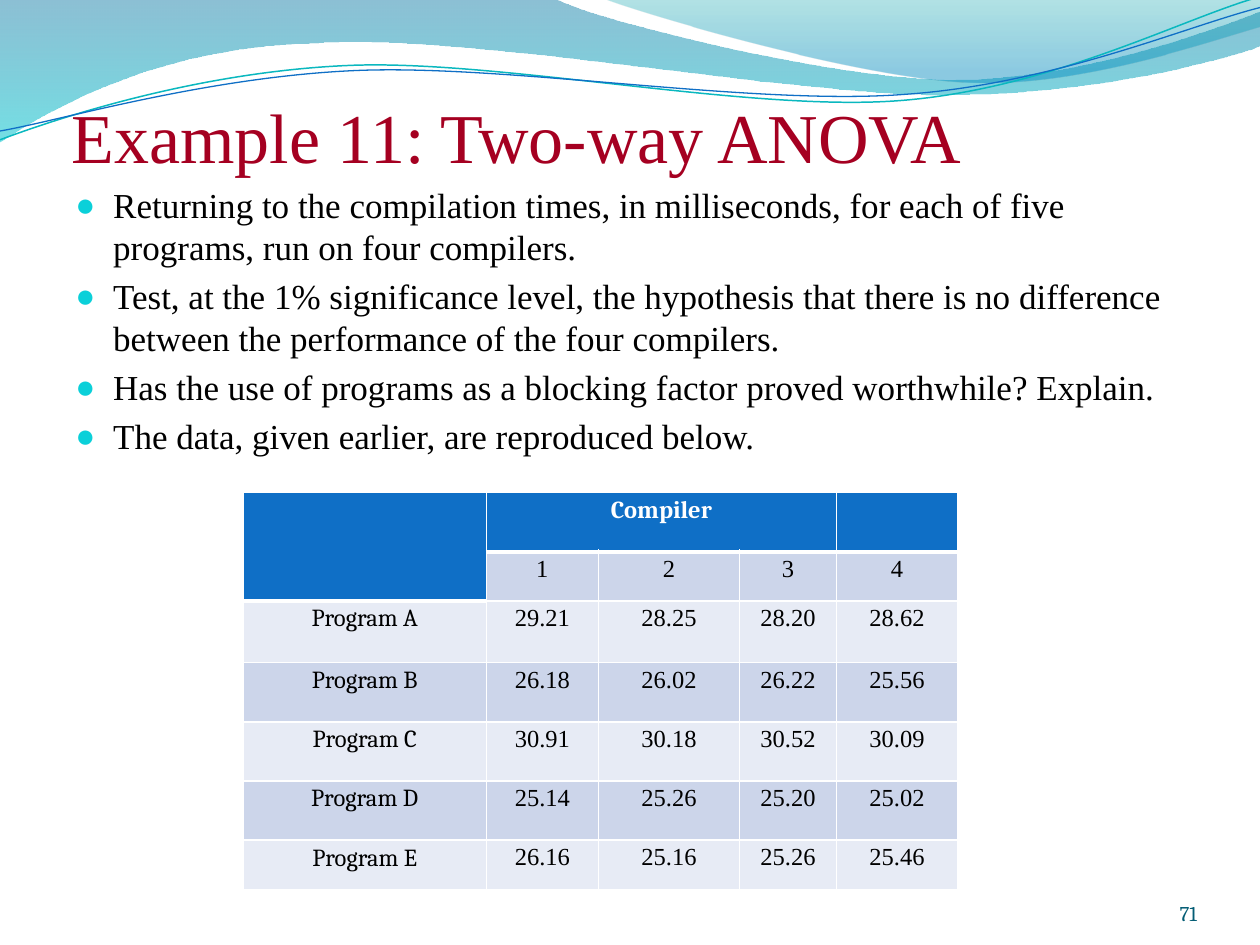
from dataclasses import dataclass

from lxml import etree
from pptx import Presentation
from pptx.dml.color import RGBColor
from pptx.enum.text import MSO_ANCHOR, PP_ALIGN
from pptx.oxml.ns import qn
from pptx.util import Inches, Pt

LEFT, CENTER, RIGHT = PP_ALIGN.LEFT, PP_ALIGN.CENTER, PP_ALIGN.RIGHT
BOTTOM = MSO_ANCHOR.BOTTOM


@dataclass(frozen=True)
class Theme:
    serif: str = "Times New Roman"
    slab: str = "Cambria"
    title: str = "A50021"
    ink: str = "000000"
    white: str = "FFFFFF"
    head: str = "0F6FC6"
    bands: tuple = ("CCD5EA", "E7EBF5")
    bullet: str = "0BD0D9"
    teal: str = "0AB8BF"
    number: str = "045D75"
    title_size: int = 40
    body_size: int = 20
    cell_size: int = 14
    number_size: int = 12


THEME = Theme()

# Each curve is a start point followed by Bezier segments (6 numbers)
# or straight segments (2 numbers), in inches.
WAVES = [
    ([(0, 0), (4.4, -0.01), (4.76, 0.17, 6.64, 0.63, 7.58, 0.63),
      (8.53, 0.63, 9.58, 0.26, 10, 0.09), (10.01, 0.36),
      (9.83, 0.44, 8.7, 0.76, 7.46, 0.75),
      (6.22, 0.75, 3.82, 0.28, 2.57, 0.34),
      (1.29, 0.36, 0.46, 0.83, -0.01, 1.13)],
     [(0, "0074A1", 45), (1, "00C6CF", 55)]),
    ([(4.79, -0.01), (5.09, 0.11, 6.82, 0.62, 7.69, 0.65),
      (8.56, 0.69, 9.61, 0.32, 10, 0.21), (10, 0)],
     [(0, "00A1A9", 30), (0.8, "008BBF", 45)]),
]
STROKES = [
    ([(0, 1.11), (0.48, 0.93, 1.58, 0.57, 2.77, 0.52),
      (3.95, 0.47, 5.93, 0.89, 7.13, 0.8),
      (8.33, 0.71, 9.38, 0.15, 9.98, -0.02)], THEME.teal, 0.85),
    ([(0, 1.04), (0.47, 0.96, 1.64, 0.61, 2.83, 0.56),
      (4.03, 0.51, 5.97, 0.84, 7.17, 0.75),
      (8.36, 0.67, 9.41, 0.21, 10, 0.06)], THEME.head, 0.75),
]
POINTS = [
    "Returning to the compilation times, in milliseconds, for each of five "
    "programs, run on four compilers.",
    "Test, at the 1% significance level, the hypothesis that there is no "
    "difference between the performance of the four compilers.",
    "Has the use of programs as a blocking factor proved worthwhile? Explain.",
    "The data, given earlier, are reproduced below.",
]
ROWS = [
    ["", "Compiler", "", "", ""],
    ["", "1", "2", "3", "4"],
    ["Program A", "29.21", "28.25", "28.20", "28.62"],
    ["Program B", "26.18", "26.02", "26.22", "25.56"],
    ["Program C", "30.91", "30.18", "30.52", "30.09"],
    ["Program D", "25.14", "25.26", "25.20", "25.02"],
    ["Program E", "26.16", "25.16", "25.26", "25.46"],
]
WIDTHS = [1.93, 0.89, 1.12, 0.77, 0.96]
HEIGHTS = [0.47, 0.39, 0.49, 0.47, 0.47, 0.47, 0.39]


def rgb(code):
    return RGBColor.from_string(code)


def style(para, font, size, color, bold=False, align=LEFT):
    para.alignment = align
    for font_part in [para.font] + [run.font for run in para.runs]:
        font_part.name, font_part.size = font, Pt(size)
        font_part.bold = bold
        font_part.color.rgb = rgb(color)


def outline(slide, box, curve, close):
    """Draw the curve's knots as lines, then bend each Bezier segment."""
    left, top = box[:2]
    points = [(Inches(left + part[i]), Inches(top + part[i + 1]))
              for part in curve for i in range(0, len(part), 2)]
    pen = slide.shapes.build_freeform(*points[0])
    pen.add_line_segments(points[1:], close=close)
    shape = pen.convert_to_shape()
    shape.shadow.inherit = False
    lines = list(shape.element.spPr.iter(qn("a:lnTo")))
    for part in curve[1:]:
        group = [lines.pop(0) for _ in range(len(part) // 2)]
        if len(group) == 3:
            bend = etree.Element(qn("a:cubicBezTo"))
            group[0].addprevious(bend)
            for line in group:
                bend.append(line[0])
                line.getparent().remove(line)
    return shape


def add_waves(slide, box):
    for curve, stops in WAVES:
        shape = outline(slide, box, curve, True)
        shape.line.fill.background()
        shape.fill.gradient()
        shape.fill.gradient_angle = 270
        for stop, (place, color, _) in zip(shape.fill.gradient_stops, stops):
            stop.position, stop.color.rgb = place, rgb(color)
        tints = shape.element.spPr.iter(qn("a:srgbClr"))
        for tint, (_, _, alpha) in zip(list(tints), stops):
            etree.SubElement(tint, qn("a:alpha"), val=str(alpha * 1000))
    for curve, color, width in STROKES:
        shape = outline(slide, box, curve, False)
        shape.fill.background()
        shape.line.color.rgb = rgb(color)
        shape.line.width = Pt(width)


def add_frame(slide, box):
    frame = slide.shapes.add_textbox(*map(Inches, box)).text_frame
    frame.word_wrap = True
    return frame


def add_label(slide, box, text, look, inset=0):
    """Place one line of text at the foot of the box."""
    frame = add_frame(slide, box)
    frame.vertical_anchor = BOTTOM
    frame.margin_left = Inches(inset)
    frame.margin_top = frame.margin_right = frame.margin_bottom = 0
    frame.text = text
    style(frame.paragraphs[0], **look)


def add_points(slide, box):
    frame = add_frame(slide, box)
    frame.text = "\n".join(POINTS)
    for i, para in enumerate(frame.paragraphs):
        para.space_before = Pt(4 if i else 0)
        props = para._p.get_or_add_pPr()
        props.set("marL", str(Inches(0.3)))
        props.set("indent", str(-Inches(0.3)))
        tint = etree.SubElement(props, qn("a:buClr"))
        etree.SubElement(tint, qn("a:srgbClr"), val=THEME.bullet)
        etree.SubElement(props, qn("a:buSzPct"), val="95000")
        etree.SubElement(props, qn("a:buFont"), typeface=THEME.serif)
        etree.SubElement(props, qn("a:buChar"), char="●")
        style(para, THEME.serif, THEME.body_size, THEME.ink)


def set_edges(cell, foot):
    """Draw white borders, the bottom one foot points wide."""
    props = cell._tc.get_or_add_tcPr()
    for i, (side, width) in enumerate(zip("LRTB", (1, 1, 1, foot))):
        edge = etree.Element(qn("a:ln" + side), w=str(Pt(width)))
        fill = etree.SubElement(edge, qn("a:solidFill"))
        etree.SubElement(fill, qn("a:srgbClr"), val=THEME.white)
        props.insert(i, edge)


def add_times(slide, box):
    table = slide.shapes.add_table(len(ROWS), len(WIDTHS),
                                   *map(Inches, box)).table
    for col, width in zip(table.columns, WIDTHS):
        col.width = Inches(width)
    for row, height in zip(table.rows, HEIGHTS):
        row.height = Inches(height)
    table.cell(0, 0).merge(table.cell(1, 0))
    table.cell(0, 1).merge(table.cell(0, 3))
    for r, row in enumerate(ROWS):
        for c, text in enumerate(row):
            cell = table.cell(r, c)
            head = r == 0 or (r == 1 and c == 0)
            cell.margin_left = cell.margin_right = Inches(0.06)
            cell.margin_top = cell.margin_bottom = Inches(0.03)
            cell.fill.solid()
            cell.fill.fore_color.rgb = rgb(
                THEME.head if head else THEME.bands[(r + 1) % 2])
            set_edges(cell, 3 if head else 1)
            cell.text_frame.text = text
            style(cell.text_frame.paragraphs[0],
                  THEME.slab if head or c == 0 else THEME.serif,
                  THEME.cell_size, THEME.white if head else THEME.ink,
                  head, CENTER)


def main():
    deck = Presentation()
    deck.slide_width, deck.slide_height = Inches(10), Inches(7.5)
    slide = deck.slides.add_slide(deck.slide_layouts[6])
    add_waves(slide, (0, 0, 10, 1.13))
    add_points(slide, (0.5, 1.41, 9, 5.5))
    add_label(slide, (8.67, 6.95, 0.83, 0.4), "71",
              dict(font=THEME.slab, size=THEME.number_size,
                   color=THEME.number, align=RIGHT))
    add_label(slide, (0.43, 0.16, 9, 1.25), "Example 11: Two-way ANOVA",
              dict(font=THEME.serif, size=THEME.title_size,
                   color=THEME.title), inset=0.14)
    add_times(slide, (1.93, 3.91, 5.67, 3.15))
    deck.save("out.pptx")


if __name__ == "__main__":
    main()
